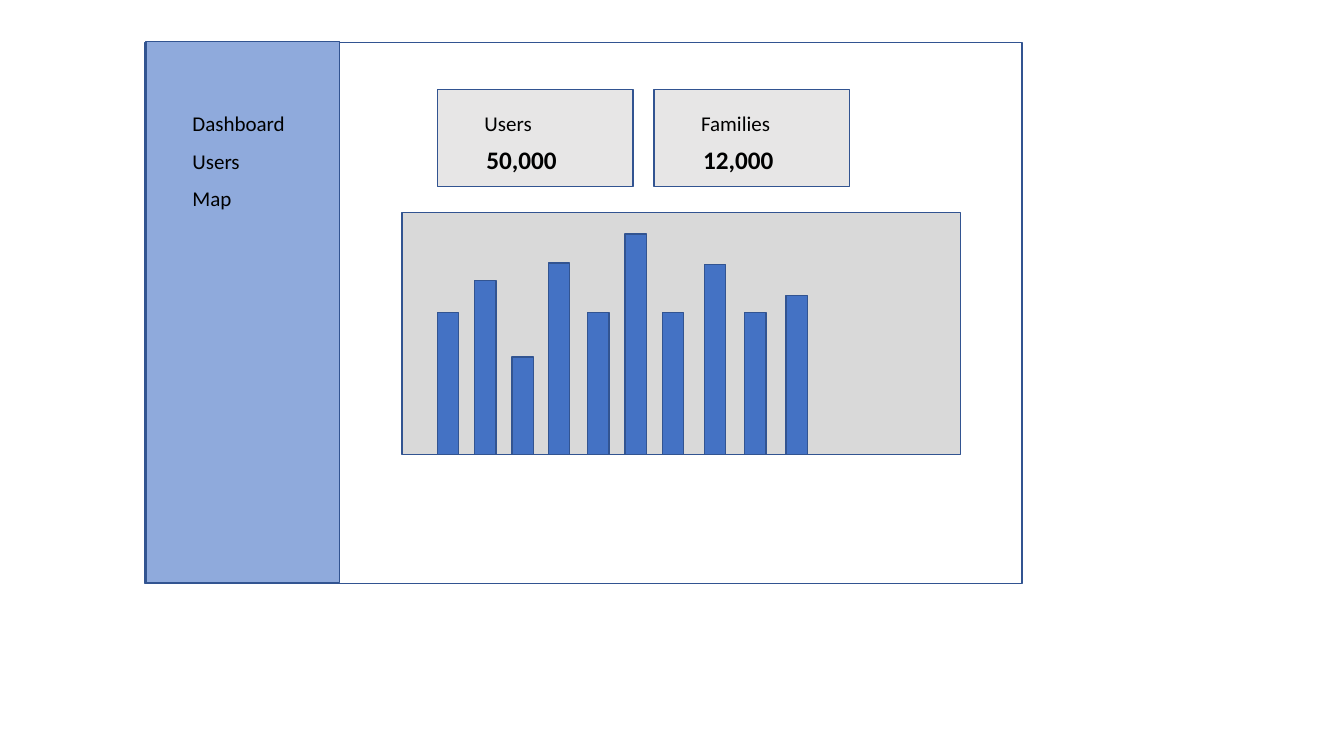
from dataclasses import dataclass

from pptx import Presentation
from pptx.dml.color import RGBColor
from pptx.enum.shapes import MSO_SHAPE as Preset
from pptx.enum.text import MSO_AUTO_SIZE as AutoSize
from pptx.util import Cm, Pt

MENU = [("Dashboard", 2.67), ("Users", 3.63), ("Map", 4.55)]
CARDS = [("Users", "50,000"), ("Families", "12,000")]
BARS = [
    (11.02, 3.58), (11.96, 4.39), (12.9, 2.46), (13.82, 4.83), (14.81, 3.58),
    (15.75, 5.56), (16.69, 3.58), (17.75, 4.8), (18.77, 3.58), (19.81, 4.01),
]


@dataclass(frozen=True)
class Theme:
    font: str = "Calibri"
    text: str = "000000"
    outline: str = "325491"
    sidebar: str = "8FAADC"
    card: str = "E7E6E6"
    panel: str = "D9D9D9"
    bar: str = "4472C4"
    label_size: int = 15
    value_size: int = 18
    line_width: int = 1


THEME = Theme()
WINDOW = (3.66, 1.07, 22.1, 13.64)
SIDEBAR = (3.68, 1.04, 4.88, 13.64)
PANEL = (10.13, 5.36, 14.07, 6.1)
BASELINE = PANEL[1] + PANEL[3]
BAR_WIDTH = 0.54
MENU_LEFT, MENU_WIDTH = 4.6, 3.05
CARD_LEFT, CARD_TOP, CARD_WIDTH, CARD_HEIGHT = 11.02, 2.26, 4.93, 2.44
CARD_PITCH = 5.46
LABEL_HEIGHT = 0.89


def add_box(shapes, left, top, width, height, fill=None):
    box = shapes.add_shape(Preset.RECTANGLE, Cm(left), Cm(top), Cm(width), Cm(height))
    box.shadow.inherit = False
    if fill:
        box.fill.solid()
        box.fill.fore_color.rgb = RGBColor.from_string(fill)
    else:
        box.fill.background()
    box.line.color.rgb = RGBColor.from_string(THEME.outline)
    box.line.width = Pt(THEME.line_width)


def add_text(shapes, text, *, left, top, width, height=LABEL_HEIGHT,
             size=THEME.label_size, bold=False):
    frame = shapes.add_textbox(Cm(left), Cm(top), Cm(width), Cm(height)).text_frame
    frame.word_wrap = True
    frame.auto_size = AutoSize.SHAPE_TO_FIT_TEXT
    run = frame.paragraphs[0].add_run()
    run.text = text
    run.font.name = THEME.font
    run.font.size = Pt(size)
    run.font.bold = bold
    run.font.color.rgb = RGBColor.from_string(THEME.text)


def add_card(slide, left, label, value):
    card = slide.shapes.add_group_shape().shapes
    add_box(card, left, CARD_TOP, CARD_WIDTH, CARD_HEIGHT, THEME.card)
    add_text(card, label, left=left + 0.94, top=CARD_TOP + 0.41, width=2.4)
    add_text(card, value, left=left + 0.99, top=CARD_TOP + 1.24, width=2.77,
             height=1.02, size=THEME.value_size, bold=True)


def main():
    deck = Presentation()
    deck.slide_width, deck.slide_height = Cm(33.87), Cm(19.05)
    slide = deck.slides.add_slide(deck.slide_layouts.get_by_name("Blank"))

    add_box(slide.shapes, *WINDOW)
    for index, (label, value) in enumerate(CARDS):
        add_card(slide, CARD_LEFT + index * CARD_PITCH, label, value)

    add_box(slide.shapes, *PANEL, THEME.panel)
    for left, height in BARS:
        add_box(slide.shapes, left, BASELINE - height, BAR_WIDTH, height, THEME.bar)

    add_box(slide.shapes, *SIDEBAR, THEME.sidebar)
    for entry, top in MENU:
        add_text(slide.shapes, entry, left=MENU_LEFT, top=top, width=MENU_WIDTH)

    deck.save("out.pptx")


if __name__ == "__main__":
    main()
